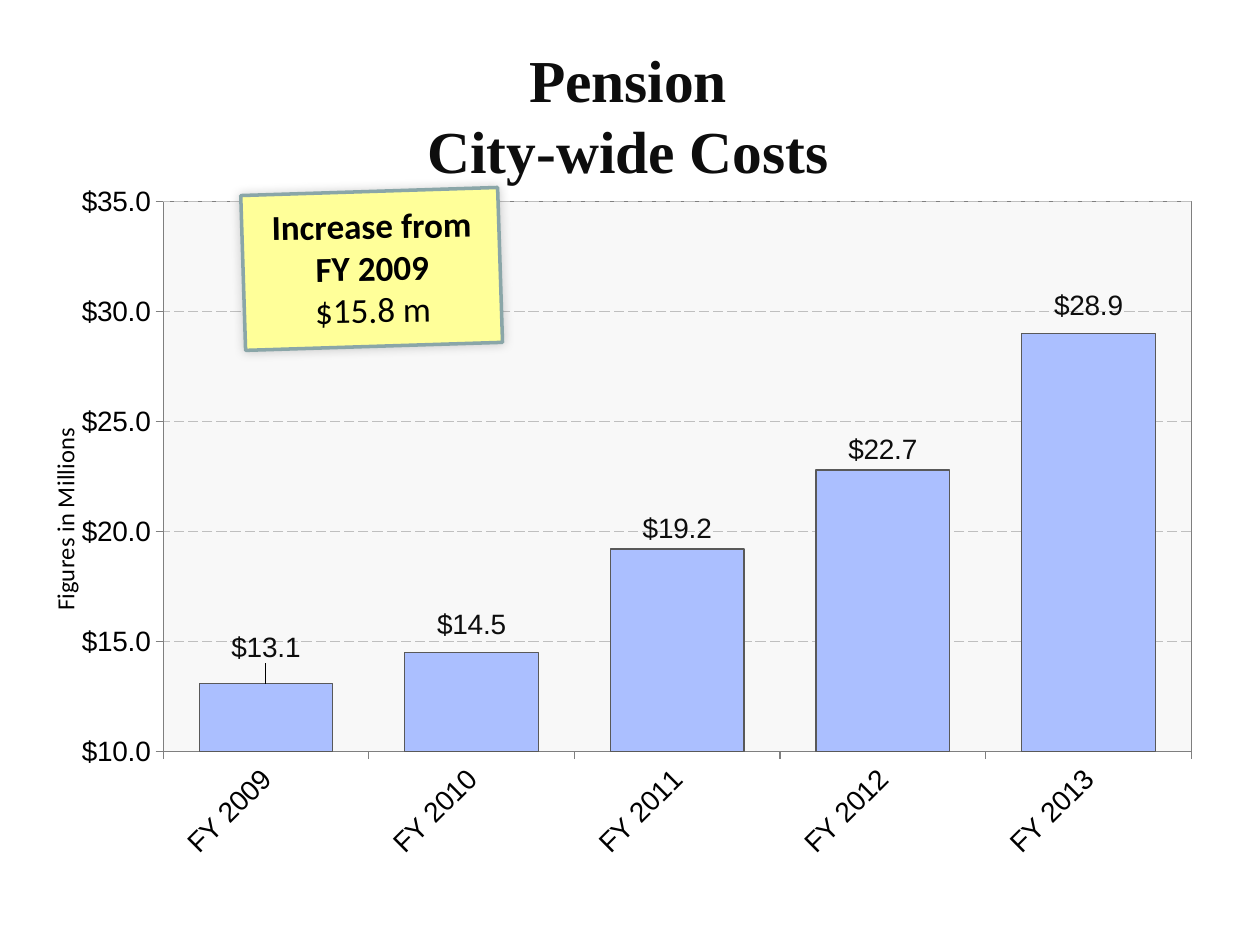
from lxml.etree import SubElement
from pptx import Presentation
from pptx.chart.data import CategoryChartData
from pptx.dml.color import RGBColor
from pptx.enum.chart import XL_CHART_TYPE, XL_LABEL_POSITION, XL_TICK_MARK
from pptx.enum.dml import MSO_LINE
from pptx.enum.shapes import MSO_SHAPE
from pptx.enum.text import MSO_ANCHOR, PP_ALIGN
from pptx.oxml import parse_xml
from pptx.oxml.ns import nsdecls, qn
from pptx.util import Inches, Pt

COLORS = {
    "ink": "0D0D0D", "black": "000000", "bar": "ABBFFF", "bar_line": "595959",
    "grid": "BFBFBF", "axis": "7F7F7F", "plot": "F2F2F2",
    "note": "FFFF99", "note_line": "8AA6A8",
}
C = {name: RGBColor.from_string(value) for name, value in COLORS.items()}
COSTS = {"FY 2009": 13.1, "FY 2010": 14.5, "FY 2011": 19.2, "FY 2012": 22.8, "FY 2013": 29}
MONEY = '"$"#,##0.0'


def write(tf, lines, font, size, color, bold_lines):
    """Write centred lines, the first bold_lines of them in bold."""
    for i, line in enumerate(lines):
        p = tf.paragraphs[0] if i == 0 else tf.add_paragraph()
        p.alignment = PP_ALIGN.CENTER
        r = p.add_run()
        r.text = line
        r.font.name, r.font.size, r.font.bold = font, Pt(size), i < bold_lines
        r.font.color.rgb = color


def manual_layout(**values):
    """Return a c:layout element with the given c:manualLayout settings."""
    layout = parse_xml(f"<c:layout {nsdecls('c')}/>")
    manual = SubElement(layout, qn("c:manualLayout"))
    for name, value in values.items():
        SubElement(manual, qn(f"c:{name}")).set("val", str(value))
    return layout


prs = Presentation()
prs.slide_width, prs.slide_height = Inches(10), Inches(7.5)
s = prs.slides.add_slide(prs.slide_layouts[5])

# Title
title = s.shapes.title
title.left, title.top, title.width, title.height = map(Inches, (3.18, 0.29, 3.61, 1.25))
title.text_frame.vertical_anchor = MSO_ANCHOR.TOP
write(title.text_frame, ["Pension", "City-wide Costs"], "Times New Roman", 34, C["ink"], 2)

# Column chart
data = CategoryChartData(number_format=MONEY)
data.categories = list(COSTS)
data.add_series("Series 1", list(COSTS.values()))
chart = s.shapes.add_chart(XL_CHART_TYPE.COLUMN_CLUSTERED, Inches(0.25), Inches(1.08),
                           Inches(9.5), Inches(6), data).chart
chart.has_legend = chart.has_title = False
chart.font.name, chart.font.size = "Arial", Pt(18)
chart.font.color.rgb = C["black"]

for axis in (chart.category_axis, chart.value_axis):
    axis.major_tick_mark, axis.minor_tick_mark = XL_TICK_MARK.OUTSIDE, XL_TICK_MARK.NONE
    axis.tick_labels.font.size = Pt(16)
    axis.format.line.color.rgb = C["axis"]
    axis.format.line.width = Pt(0.75)
chart.category_axis.tick_labels.font._element.getparent().getparent().getparent().find(
    qn("a:bodyPr")).set("rot", "-2700000")

axis = chart.value_axis
axis.minimum_scale, axis.maximum_scale, axis.major_unit = 10, 35, 5
axis.tick_labels.number_format = MONEY
axis.tick_labels.number_format_is_linked = False
grid = axis.major_gridlines.format.line
grid.color.rgb, grid.width, grid.dash_style = C["grid"], Pt(0.75), MSO_LINE.LONG_DASH
write(axis.axis_title.text_frame, ["Figures in Millions"], "Calibri", 14, C["black"], 0)
axis_title = axis.axis_title._element
for old in axis_title.findall(qn("c:layout")):
    axis_title.remove(old)
axis_title.find(qn("c:tx")).addnext(manual_layout(xMode="edge", yMode="edge", x=0.01, y=0.38))

plot = chart.plots[0]
plot.gap_width, plot.vary_by_categories = 54, False
bars = plot.series[0]
bars.format.fill.solid()
bars.format.fill.fore_color.rgb = C["bar"]
bars.format.line.color.rgb, bars.format.line.width = C["bar_line"], Pt(0.75)

labels = bars.data_labels
labels.show_value, labels.position = True, XL_LABEL_POSITION.OUTSIDE_END
labels.number_format, labels.number_format_is_linked = MONEY, False
labels.font.size, labels.font.color.rgb = Pt(16), C["ink"]
for i, text in {3: "$22.7", 4: "$28.9"}.items():
    write(bars.points[i].data_label.text_frame, [text], "Arial", 16, C["ink"], 0)
for i, shift in {0: -0.02, 1: -0.01, 4: -0.01}.items():
    label = bars.points[i].data_label
    if i < 3:
        label.font.size, label.font.color.rgb = Pt(16), C["ink"]
    label.position = XL_LABEL_POSITION.OUTSIDE_END
    label._get_or_add_dLbl().find(qn("c:idx")).addnext(manual_layout(x=0, y=shift))

area = chart._chartSpace.chart.plotArea
for old in area.findall(qn("c:layout")):
    area.remove(old)
area.insert(0, manual_layout(layoutTarget="inner", xMode="edge", yMode="edge",
                             x=0.11, y=0.087, w=0.859, h=0.727))
area.append(parse_xml(
    f'<c:spPr {nsdecls("c", "a")}><a:solidFill><a:srgbClr val="{COLORS["plot"]}">'
    '<a:alpha val="51000"/></a:srgbClr></a:solidFill><a:ln w="9525"><a:solidFill>'
    f'<a:srgbClr val="{COLORS["axis"]}"/></a:solidFill></a:ln></c:spPr>'))

# Tilted note
group = s.shapes.add_group_shape()
note = group.shapes.add_shape(MSO_SHAPE.RECTANGLE, Inches(1.93), Inches(1.52),
                              Inches(2.04), Inches(1.23))
note.rotation = 358.2
note.fill.solid()
note.fill.fore_color.rgb = C["note"]
note.line.color.rgb, note.line.width = C["note_line"], Pt(2)
note.shadow.inherit = False
shadow = SubElement(note._element.spPr.find(qn("a:effectLst")), qn("a:outerShdw"),
                    blurRad=str(Pt(6)), dist="0", dir="18900000", rotWithShape="0")
shade = SubElement(shadow, qn("a:srgbClr"), val=COLORS["black"])
SubElement(shade, qn("a:alpha"), val="20000")

caption = group.shapes.add_textbox(Inches(1.8), Inches(1.57), Inches(2.31), Inches(1.11))
caption.rotation = 359
caption.text_frame.word_wrap = True
write(caption.text_frame, ["Increase from", "FY 2009", "$15.8 m"], "Calibri", 20, C["black"], 2)

prs.save("out.pptx")
